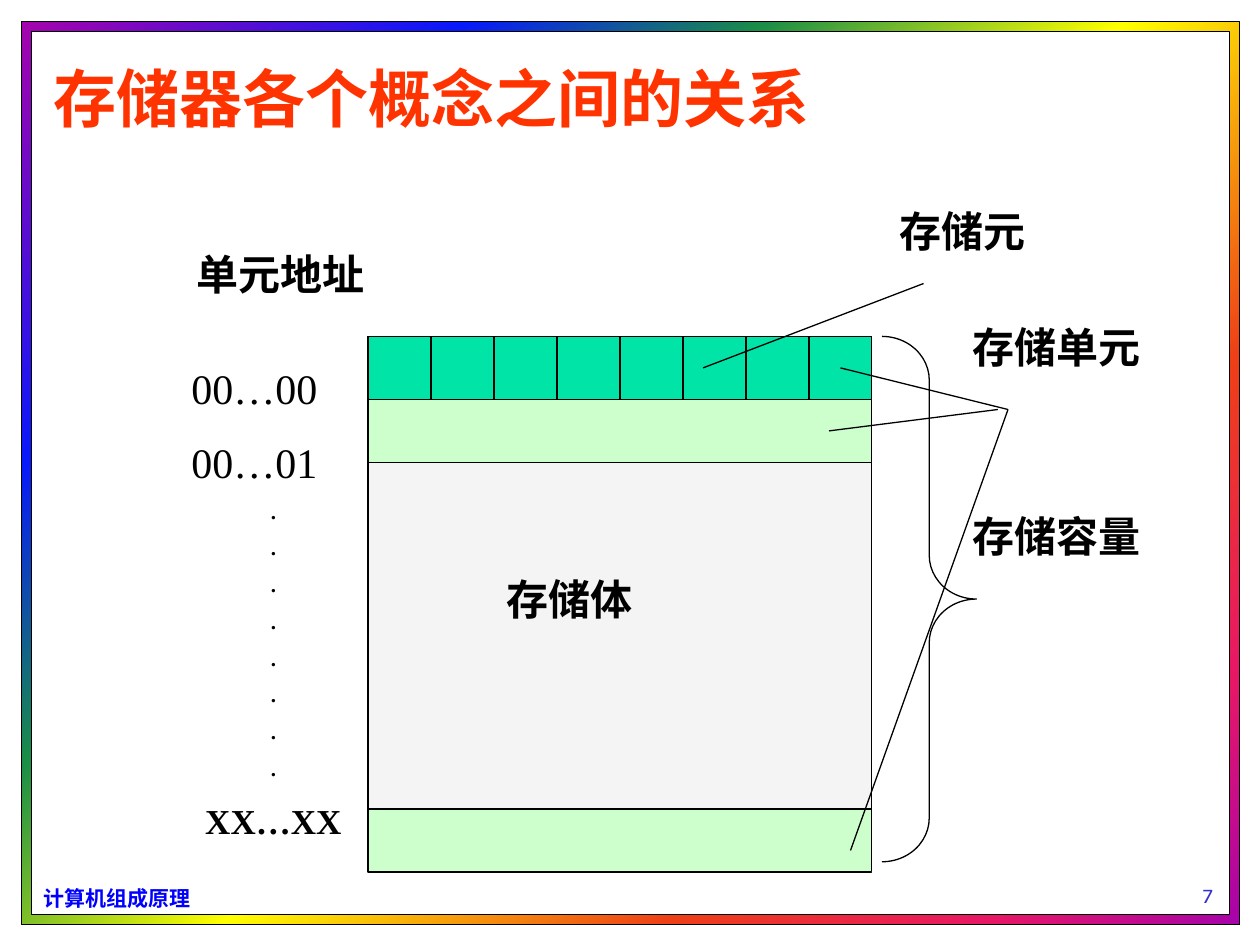
from dataclasses import dataclass

from lxml.etree import SubElement
from pptx import Presentation
from pptx.dml.color import RGBColor
from pptx.enum.shapes import MSO_CONNECTOR, MSO_SHAPE
from pptx.enum.text import MSO_ANCHOR, PP_ALIGN
from pptx.oxml.ns import qn
from pptx.util import Inches, Pt


@dataclass(frozen=True)
class Theme:
    title: str = "FF3300"
    ink: str = "000000"
    footer: str = "0000FF"
    page: str = "3333CC"
    paper: str = "FFFFFF"
    cell: str = "00E4A8"
    unit: str = "CCFFCC"
    body: str = "EAEAEA"
    rainbow: tuple = ((0, "A603AB"), (21, "0819FB"), (35, "1A8D48"), (52, "FFFF00"),
                      (73, "EE3F17"), (88, "E81766"), (100, "A603AB"))
    title_size: int = 36
    label_size: int = 24
    last_size: int = 20
    small_size: int = 12
    line_width: float = 0.75
    serif: str = "Times New Roman"
    sans: str = "Karla"
    chinese: str = "Noto Sans CJK SC"


THEME = Theme()


def rgb(value):
    return RGBColor.from_string(value)


def set_line(item):
    item.line.color.rgb = rgb(THEME.ink)
    item.line.width = Pt(THEME.line_width)


def add_block(slide, box, fill=None, preset=MSO_SHAPE.RECTANGLE):
    block = slide.shapes.add_shape(preset, *map(Inches, box))
    block.shadow.inherit = False
    set_line(block)
    if fill:
        block.fill.solid()
        block.fill.fore_color.rgb = rgb(fill)
    else:
        block.fill.background()
    return block


def add_leader(slide, start, end):
    leader = slide.shapes.add_connector(
        MSO_CONNECTOR.STRAIGHT, *map(Inches, (*start, *end)))
    set_line(leader)
    SubElement(leader.element.spPr, qn("a:effectLst"))


def style(paragraph, size, color=THEME.ink, bold=True, font=THEME.serif):
    for run in paragraph.runs:
        run.font.size = Pt(size)
        run.font.bold = bold
        run.font.name = font
        run.font.color.rgb = rgb(color)
        SubElement(run.font._element, qn("a:ea"), typeface=THEME.chinese)


def add_text(slide, box, text, wrap=True):
    frame = slide.shapes.add_textbox(*map(Inches, box)).text_frame
    frame.word_wrap = wrap
    frame.text = text
    return frame


def add_label(slide, box, text):
    style(add_text(slide, box, text).paragraphs[0], THEME.label_size)


def add_border(slide, box):
    """Rainbow band with a white sheet on top."""
    left, top, width, height = box
    band = add_block(slide, box)
    band.fill.gradient()
    band.fill.gradient_angle = 315
    stops = band.element.spPr.find(qn("a:gradFill")).find(qn("a:gsLst"))
    for stop in list(stops):
        stops.remove(stop)
    for percent, color in THEME.rainbow:
        stop = SubElement(stops, qn("a:gs"), pos=str(percent * 1000))
        SubElement(stop, qn("a:srgbClr"), val=color)
    edge = 0.08
    add_block(slide, (left + edge, top + edge, width - 2 * edge, height - 2 * edge),
              THEME.paper)


def add_footer(slide, course_box, page_box):
    course = add_text(slide, course_box, "计算机组成原理", wrap=False)
    style(course.paragraphs[0], THEME.small_size, THEME.footer, font=THEME.chinese)
    page = add_text(slide, page_box, "7")
    page.vertical_anchor = MSO_ANCHOR.BOTTOM
    page.paragraphs[0].alignment = PP_ALIGN.CENTER
    style(page.paragraphs[0], THEME.small_size, THEME.page, False, THEME.sans)


def add_title(slide, box):
    title = add_text(slide, box, "存储器各个概念之间的关系")
    style(title.paragraphs[0], THEME.title_size, THEME.title, font=THEME.sans)


def add_memory(slide, box, cells=8, row=0.5):
    """Memory body: a row of cells, then the second and the last unit."""
    left, top, width, height = box
    body = add_block(slide, box, THEME.body)
    color = body.element.spPr.find(qn("a:solidFill"))[0]
    SubElement(color, qn("a:alpha"), val="50000")
    cell_width = width / cells
    for index in range(cells):
        add_block(slide, (left + index * cell_width, top, cell_width, row), THEME.cell)
    for unit_top in (top + row, top + height - row):
        add_block(slide, (left, unit_top, width, row), THEME.unit)
    add_label(slide, (left + 1, top + 1.83, 2.5, row), "存储体")


def add_addresses(slide, box):
    """Heading and the column of unit addresses below it."""
    left, top, width, height = box
    add_label(slide, (left + 0.04, top - 0.91, 2.25, 0.5), "单元地址")
    lines = ["00…00", "00…01"] + ["."] * 8 + ["XX…XX"]
    column = add_text(slide, box, "\n".join(lines))
    for index, paragraph in enumerate(column.paragraphs):
        is_number = paragraph.text.startswith("0")
        if is_number:
            size = THEME.label_size
        else:
            size = THEME.small_size if paragraph.text == "." else THEME.last_size
            paragraph.alignment = PP_ALIGN.CENTER
        if index:
            paragraph.space_before = Pt(round(size * 0.55, 1))
        style(paragraph, size, bold=not is_number)


def add_callouts(slide, box):
    """Names on the right, their leaders and the capacity brace."""
    left, top, width, height = box
    unit_point = (left + 1, top + 0.58)
    add_leader(slide, (6.58, 3.42), (unit_point[0] - 0.08, unit_point[1]))
    for target in ((6.67, 2.92), (6.75, 6.75)):
        add_leader(slide, target, unit_point)
    add_leader(slide, (5.58, 2.92), (7.33, 2.25))
    brace = add_block(slide, box, preset=MSO_SHAPE.RIGHT_BRACE)
    brace.adjustments[0] = 0.463
    brace.adjustments[1] = 0.5
    add_label(slide, (left + 0.04, top - 1.09, 2.25, 0.5), "存储元")
    add_label(slide, (left + 0.62, top - 0.17, 2, 0.5), "存储单元")
    add_label(slide, (left + 0.62, top + 1.33, 2.38, 0.5), "存储容量")


def main():
    deck = Presentation()
    deck.slide_width, deck.slide_height = Inches(10), Inches(7.5)
    slide = deck.slides.add_slide(deck.slide_layouts[6])
    add_border(slide, (0.17, 0.17, 9.67, 7.17))
    add_footer(slide, (0.25, 6.98, 1.37, 0.3), (8.67, 6.75, 1.83, 0.5))
    add_title(slide, (0.33, 0.42, 9.33, 0.75))
    add_memory(slide, (2.92, 2.67, 4, 4.25))
    add_addresses(slide, (1.42, 2.83, 1.5, 4))
    add_callouts(slide, (7, 2.67, 0.75, 4.17))
    deck.save("out.pptx")


if __name__ == "__main__":
    main()
